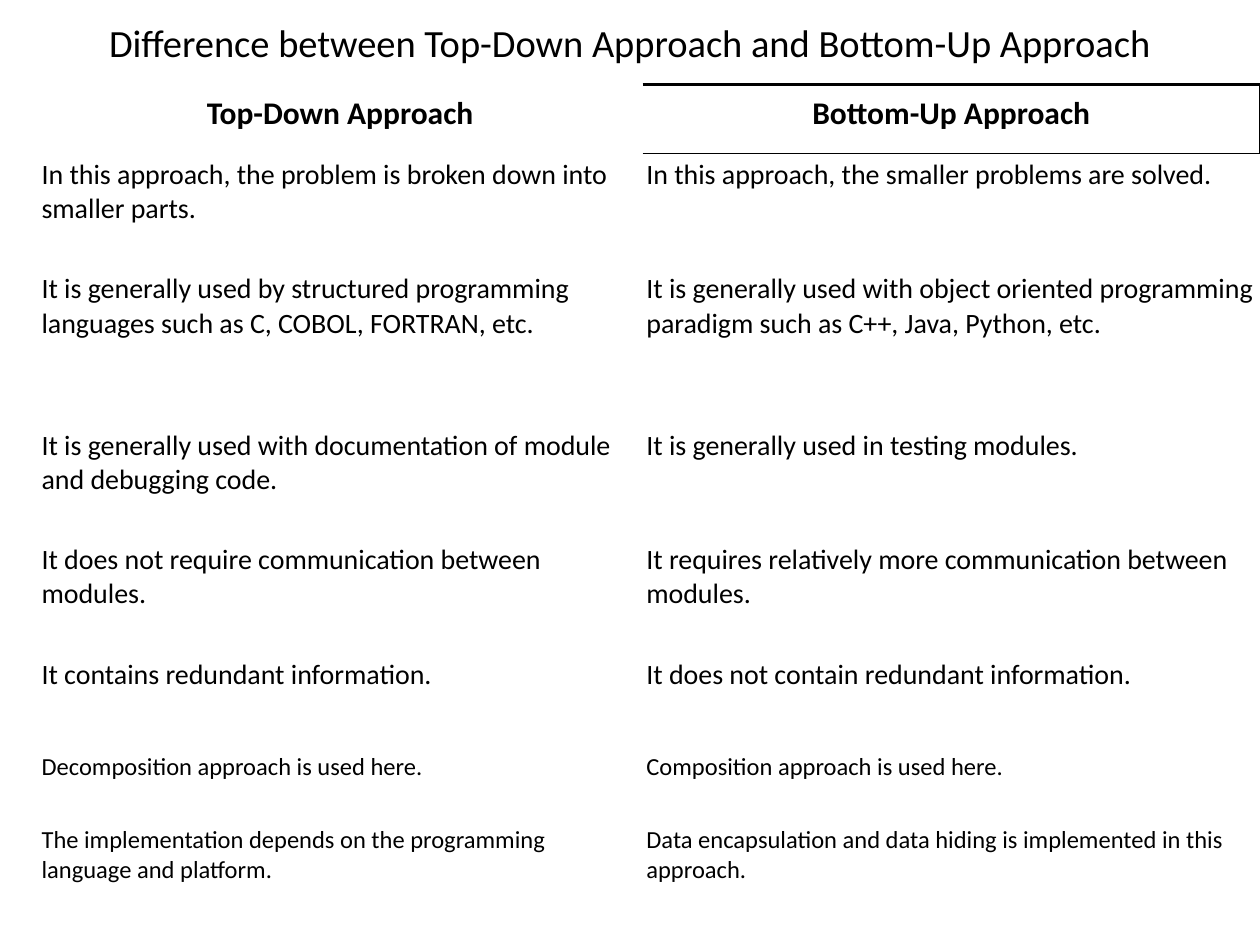
from dataclasses import dataclass

from lxml.etree import SubElement
from pptx import Presentation
from pptx.dml.color import RGBColor
from pptx.enum.text import MSO_ANCHOR, PP_ALIGN
from pptx.oxml.ns import qn
from pptx.util import Inches, Pt

BLACK = RGBColor(0, 0, 0)
FONT = "Calibri"
NO_GRID = "{2D5ABB26-0587-4C30-8999-92F81FD0307C}"
WIDE, HIGH = Inches(10), Inches(7.5)
COLS = (0.03, 0.48, 0.49)  # shares of the slide's width
EDGES = {"lnR": 1, "lnT": 1.5, "lnB": 1}
SIDES = ("margin_left", "margin_right", "margin_top", "margin_bottom")


@dataclass
class Style:
    size: int
    pad: float
    bold: bool = False
    align: PP_ALIGN = PP_ALIGN.LEFT


@dataclass
class Row:
    high: float
    style: Style
    left: str
    right: str


TITLE = Style(22, 0.05, align=PP_ALIGN.CENTER)
HEAD = Style(18, 0.08, True, PP_ALIGN.CENTER)
BODY = Style(16, 0.03)
SMALL = Style(14, 0.03)

ROWS = [
    Row(0.55, HEAD, "Top-Down Approach", "Bottom-Up Approach"),
    Row(0.91, BODY,
        "In this approach, the problem is broken down into smaller parts.",
        "In this approach, the smaller problems are solved."),
    Row(1.24, BODY,
        "It is generally used by structured programming languages such as C, COBOL, FORTRAN, etc.",
        "It is generally used with object oriented programming paradigm such as C++, Java, Python, etc."),
    Row(0.91, BODY,
        "It is generally used with documentation of module and debugging code.",
        "It is generally used in testing modules."),
    Row(0.91, BODY,
        "It does not require communication between modules.",
        "It requires relatively more communication between modules."),
    Row(0.75, BODY,
        "It contains redundant information.",
        "It does not contain redundant information."),
    Row(0.58, SMALL,
        "Decomposition approach is used here.",
        "Composition approach is used here."),
    Row(1.07, SMALL,
        "The implementation depends on the programming language and platform.",
        "Data encapsulation and data hiding is implemented in this approach."),
]


def write(frame, text: str, style: Style) -> None:
    para = frame.paragraphs[0]
    para.alignment = style.align
    run = para.add_run()
    run.text = text
    look = {"name": FONT, "size": Pt(style.size), "bold": style.bold}
    for key, value in look.items():
        setattr(run.font, key, value)
    run.font.color.rgb = BLACK


def fill_cell(cell, text: str, style: Style) -> None:
    cell.fill.background()
    cell.vertical_anchor = MSO_ANCHOR.TOP
    for side in SIDES:
        setattr(cell, side, Inches(style.pad))
    if text:
        write(cell.text_frame, text, style)


def rule_cell(cell) -> None:
    """Draw the cell's borders; they must come before its fill in the XML."""
    props = cell._tc.get_or_add_tcPr()
    for spot, (tag, width) in enumerate(EDGES.items()):
        line = SubElement(props, qn(f"a:{tag}"), w=str(Pt(width)))
        paint = SubElement(line, qn("a:solidFill"))
        SubElement(paint, qn("a:srgbClr"), val=str(BLACK))
        props.insert(spot, line)


def add_title(slide, text: str) -> None:
    title = slide.shapes.title
    place = {"left": 0.05 * WIDE, "top": 0.01 * HIGH,
             "width": 0.9 * WIDE, "height": 0.07 * HIGH}
    for key, value in place.items():
        setattr(title, key, int(value))
    title.text_frame.vertical_anchor = MSO_ANCHOR.MIDDLE
    write(title.text_frame, text, TITLE)


def add_grid(slide, rows: list[Row]) -> None:
    high = Inches(sum(row.high for row in rows))
    table = slide.shapes.add_table(
        len(rows), len(COLS), 0, Inches(0.67), WIDE, high).table
    table.first_row = table.horz_banding = False
    table._tbl.tblPr.find(qn("a:tableStyleId")).text = NO_GRID
    for col, share in zip(table.columns, COLS):
        col.width = int(share * WIDE)
    for line, row in zip(table.rows, rows):
        line.height = Inches(row.high)
        for cell, text in zip(line.cells, ("", row.left, row.right)):
            fill_cell(cell, text, row.style)
    rule_cell(table.cell(0, 2))


def main() -> None:
    deck = Presentation()
    deck.slide_width, deck.slide_height = WIDE, HIGH
    slide = deck.slides.add_slide(deck.slide_layouts[5])
    add_title(slide, "Difference between Top-Down Approach and Bottom-Up Approach")
    add_grid(slide, ROWS)
    deck.save("out.pptx")


if __name__ == "__main__":
    main()
